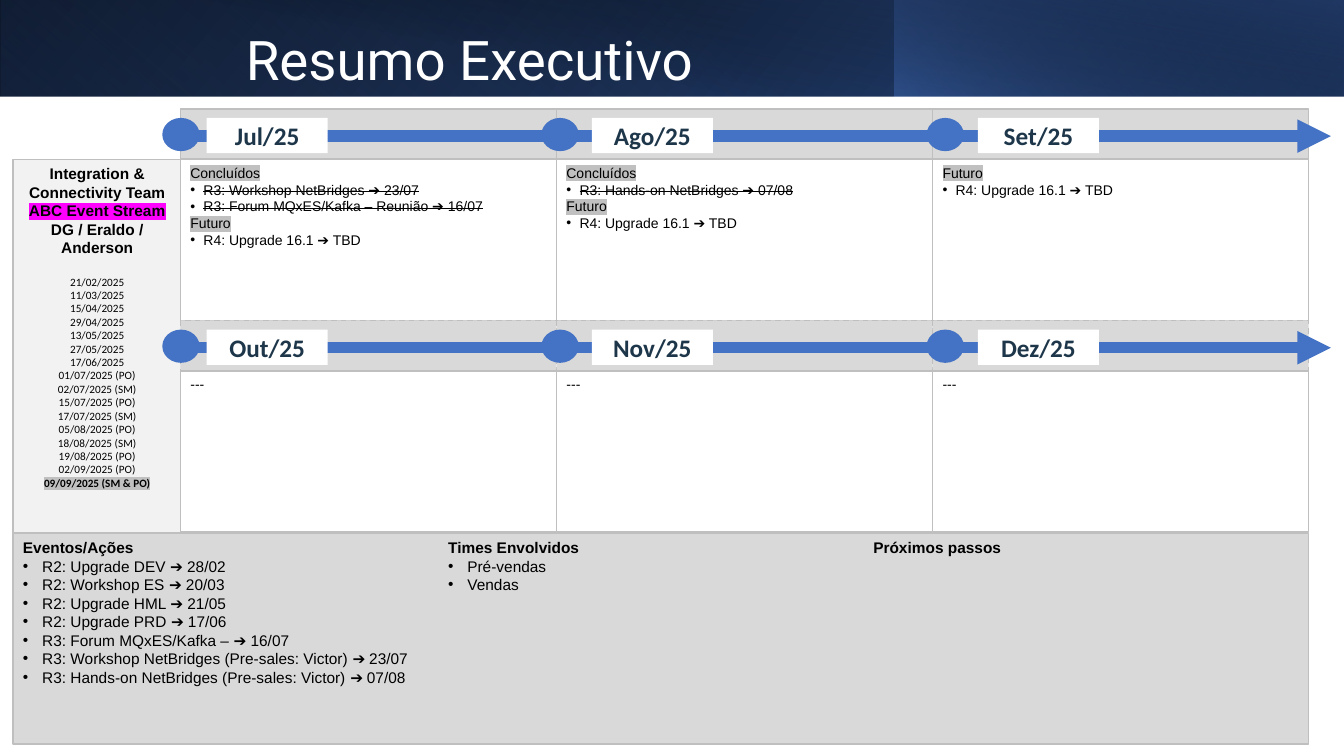
from lxml import etree
from pptx import Presentation
from pptx.dml.color import RGBColor
from pptx.enum.dml import MSO_LINE
from pptx.enum.shapes import MSO_CONNECTOR, MSO_SHAPE
from pptx.enum.text import MSO_ANCHOR, PP_ALIGN
from pptx.oxml.ns import qn
from pptx.util import Inches, Pt

RECTANGLE, OVAL = MSO_SHAPE.RECTANGLE, MSO_SHAPE.OVAL
CENTER, JUSTIFY, LEFT = PP_ALIGN.CENTER, PP_ALIGN.JUSTIFY, PP_ALIGN.LEFT
TOP, MIDDLE = MSO_ANCHOR.TOP, MSO_ANCHOR.MIDDLE
DASH = MSO_LINE.DASH

BLACK = RGBColor(0x00, 0x00, 0x00)
WHITE = RGBColor(0xFF, 0xFF, 0xFF)
BAND_GRAY = RGBColor(0xD9, 0xD9, 0xD9)
PANEL_GRAY = RGBColor(0xF2, 0xF2, 0xF2)
BORDER_GRAY = RGBColor(0xBF, 0xBF, 0xBF)
BLUE = RGBColor(0x44, 0x72, 0xC4)
LABEL_NAVY = RGBColor(0x1D, 0x36, 0x49)
MARK_GRAY = RGBColor(0xC0, 0xC0, 0xC0)
MARK_MAGENTA = RGBColor(0xFF, 0x00, 0xFF)

TITLE = "Resumo Executivo"
TEAM = ["Integration &", "Connectivity Team", "ABC Event Stream", "DG / Eraldo / Anderson"]
TEAM_MARKED = "ABC Event Stream"
DATES = [
    "21/02/2025", "11/03/2025", "15/04/2025", "29/04/2025", "13/05/2025", "27/05/2025",
    "17/06/2025", "01/07/2025 (PO)", "02/07/2025 (SM)", "15/07/2025 (PO)",
    "17/07/2025 (SM)", "05/08/2025 (PO)", "18/08/2025 (SM)", "19/08/2025 (PO)",
    "02/09/2025 (PO)", "09/09/2025 (SM & PO)",
]
DONE, FUTURE = "Concluídos", "Futuro"
UPGRADE = "R4: Upgrade 16.1 ➔ TBD"
# Each quarter: month label and its sections of (heading, items)
QUARTERS = [
    [("Jul/25", [(DONE, ["R3: Workshop NetBridges ➔ 23/07",
                         "R3: Forum MQxES/Kafka – Reunião ➔ 16/07"]),
                 (FUTURE, [UPGRADE])]),
     ("Ago/25", [(DONE, ["R3: Hands-on NetBridges ➔ 07/08"]), (FUTURE, [UPGRADE])]),
     ("Set/25", [(FUTURE, [UPGRADE])])],
    [("Out/25", []), ("Nov/25", []), ("Dez/25", [])],
]
EMPTY_MONTH = "---"
SUMMARY = [
    ("Eventos/Ações", [
        "R2: Upgrade DEV ➔ 28/02", "R2: Workshop ES ➔ 20/03", "R2: Upgrade HML ➔ 21/05",
        "R2: Upgrade PRD ➔ 17/06", "R3: Forum MQxES/Kafka – ➔ 16/07",
        "R3: Workshop NetBridges (Pre-sales: Victor) ➔ 23/07",
        "R3: Hands-on NetBridges (Pre-sales: Victor) ➔ 07/08"]),
    ("Times Envolvidos", ["Pré-vendas", "Vendas"]),
    ("Próximos passos", []),
]
# Box, rotation, flipped, angle, stops of (position %, colour, opacity %)
HEADER_LAYERS = [
    ((0, 0, 13.33, 1.74), 0, True, 140, [(0, "000000", 100), (100, "2F5597", 100)]),
    ((0, 0, 8.88, 1.74), 180, True, 230, [(20, "4472C4", 0), (100, "203864", 55)]),
    ((8.87, 0, 4.46, 1.74), 0, True, 220, [(0, "4472C4", 66), (100, "000000", 30)]),
    ((0.5, 0, 12.83, 1.75), 0, False, 280, [(50, "000000", 0), (99, "203864", 52)]),
]

GRID_LEFT, MONTH_WIDTH = 1.79, 3.73
QUARTER_TOPS = [1.08, 3.18]
BAND_HEIGHT, DETAIL_HEIGHT = 0.5, 1.6
MARKER_LEFTS = [1.61, 5.37, 9.19]
LABEL_LEFTS = [2.05, 5.87, 9.7]
ARROW_END = 13.2
SUMMARY_LEFT, SUMMARY_TOP, SUMMARY_WIDTH, SUMMARY_HEIGHT = 0.13, 5.29, 12.85, 2.09
INSET = 0.1


def add_box(slide, box, fill=None, border=None, kind=RECTANGLE, anchor=TOP):
    shape = slide.shapes.add_shape(kind, *map(Inches, box))
    shape.shadow.inherit = False
    if fill is not None:
        shape.fill.solid()
        shape.fill.fore_color.rgb = fill
    if border is None:
        shape.line.fill.background()
    else:
        shape.line.color.rgb = border
        shape.line.width = Pt(1)
    shape.text_frame.vertical_anchor = anchor
    return shape


def set_gradient(shape, angle, stops):
    """Gradient fill whose stops carry their own opacity."""
    properties = shape._element.spPr
    gradient = etree.Element(qn("a:gradFill"), rotWithShape="1")
    stop_list = etree.SubElement(gradient, qn("a:gsLst"))
    for position, color, opacity in stops:
        stop = etree.SubElement(stop_list, qn("a:gs"), pos=str(position * 1000))
        color_element = etree.SubElement(stop, qn("a:srgbClr"), val=color)
        etree.SubElement(color_element, qn("a:alpha"), val=str(opacity * 1000))
    etree.SubElement(gradient, qn("a:lin"), ang=str(angle * 60000), scaled="0")
    properties.find(qn("a:prstGeom")).addnext(gradient)


def write(shape, text, size, font="Arial", color=BLACK, bold=False, align=JUSTIFY,
          indent=0, mark=None, strike=False):
    """Append a paragraph, bulleted when it has an indent."""
    frame = shape.text_frame
    frame.word_wrap = True
    paragraph = frame.add_paragraph() if frame.text else frame.paragraphs[0]
    paragraph.text = text
    paragraph.alignment = align
    if indent:
        properties = paragraph._p.get_or_add_pPr()
        properties.set("marL", str(Inches(indent)))
        properties.set("indent", str(-Inches(indent)))
        etree.SubElement(properties, qn("a:buFont"), typeface="Arial")
        etree.SubElement(properties, qn("a:buChar"), char="•")
    run = paragraph.runs[0]
    run.font.size, run.font.name, run.font.bold = Pt(size), font, bold
    run.font.color.rgb = color
    run_properties = run._r.get_or_add_rPr()
    if strike:
        run_properties.set("strike", "sngStrike")
    if mark is not None:
        highlight = etree.Element(qn("a:highlight"))
        etree.SubElement(highlight, qn("a:srgbClr"), val=str(mark))
        run_properties.find(qn("a:solidFill")).addnext(highlight)
    return paragraph


def add_arrow(slide, y):
    arrow = slide.shapes.add_connector(
        MSO_CONNECTOR.STRAIGHT, *map(Inches, (GRID_LEFT, y, ARROW_END, y)))
    arrow.line.color.rgb = BLUE
    arrow.line.width = Pt(8)
    etree.SubElement(arrow.line._get_or_add_ln(), qn("a:tailEnd"), type="triangle")
    etree.SubElement(arrow._element.spPr, qn("a:effectLst"))


def add_quarter(slide, top, months, dashed):
    lefts = [GRID_LEFT + MONTH_WIDTH * i for i in range(len(months))]
    for left in lefts:
        band = add_box(slide, (left, top, MONTH_WIDTH, BAND_HEIGHT), BAND_GRAY, BORDER_GRAY)
        if dashed:
            band.line.dash_style = DASH
    for left, (_, sections) in zip(lefts, months):
        detail = add_box(slide, (left, top + BAND_HEIGHT, MONTH_WIDTH, DETAIL_HEIGHT),
                         WHITE, BORDER_GRAY)
        for heading, items in sections:
            write(detail, heading, 10, mark=MARK_GRAY)
            for item in items:
                write(detail, item, 10, indent=0.13, strike=heading == DONE)
        if not sections:
            write(detail, EMPTY_MONTH, 10)
    add_arrow(slide, top + 0.27)
    for marker_left, label_left, (month, _) in zip(MARKER_LEFTS, LABEL_LEFTS, months):
        add_box(slide, (marker_left, top + 0.09, 0.37, 0.33), BLUE, kind=OVAL)
        label = add_box(slide, (label_left, top + 0.09, 1.2, 0.35), WHITE, anchor=MIDDLE)
        write(label, month, 18, "Calibri", LABEL_NAVY, True, CENTER)


def add_summary(slide):
    add_box(slide, (SUMMARY_LEFT, SUMMARY_TOP, SUMMARY_WIDTH, SUMMARY_HEIGHT),
            BAND_GRAY, BORDER_GRAY)
    column_width = (SUMMARY_WIDTH - 2 * INSET) / len(SUMMARY)
    for i, (heading, items) in enumerate(SUMMARY):
        column = slide.shapes.add_textbox(
            Inches(SUMMARY_LEFT + column_width * i), Inches(SUMMARY_TOP),
            Inches(column_width + 2 * INSET), Inches(SUMMARY_HEIGHT))
        write(column, heading, 11, bold=True)
        for item in items:
            write(column, item, 11, indent=0.19)


def add_team(slide):
    panel = add_box(slide, (0.13, 1.58, 1.67, 3.71), PANEL_GRAY, BORDER_GRAY)
    for line in TEAM:
        write(panel, line, 11, bold=True, align=CENTER,
              mark=MARK_MAGENTA if line == TEAM_MARKED else None)
    for date in DATES:
        latest = date == DATES[-1]
        paragraph = write(panel, date, 8, "Calibri", bold=latest, align=CENTER,
                          mark=MARK_GRAY if latest else None)
        if date == DATES[0]:
            paragraph.space_before = Pt(13)


def main():
    presentation = Presentation()
    presentation.slide_width, presentation.slide_height = Inches(13.33), Inches(7.5)
    slide = presentation.slides.add_slide(presentation.slide_layouts[6])
    for box, rotation, flipped, angle, stops in HEADER_LAYERS:
        layer = add_box(slide, box)
        layer.rotation = rotation
        if flipped:
            layer._element.spPr.xfrm.set("flipH", "1")
        set_gradient(layer, angle, stops)
    add_summary(slide)
    add_box(slide, (0, 0.96, 13.33, 1.1), WHITE)
    add_team(slide)
    title = slide.shapes.add_textbox(*map(Inches, (2.34, 0.32, 10.37, 0.64)))
    title.text_frame.vertical_anchor = MIDDLE
    write(title, TITLE, 39, "Roboto", WHITE, align=LEFT).line_spacing = 0.8
    for i, (top, months) in enumerate(zip(QUARTER_TOPS, QUARTERS)):
        add_quarter(slide, top, months, dashed=i == 1)
    presentation.save("out.pptx")


if __name__ == "__main__":
    main()
